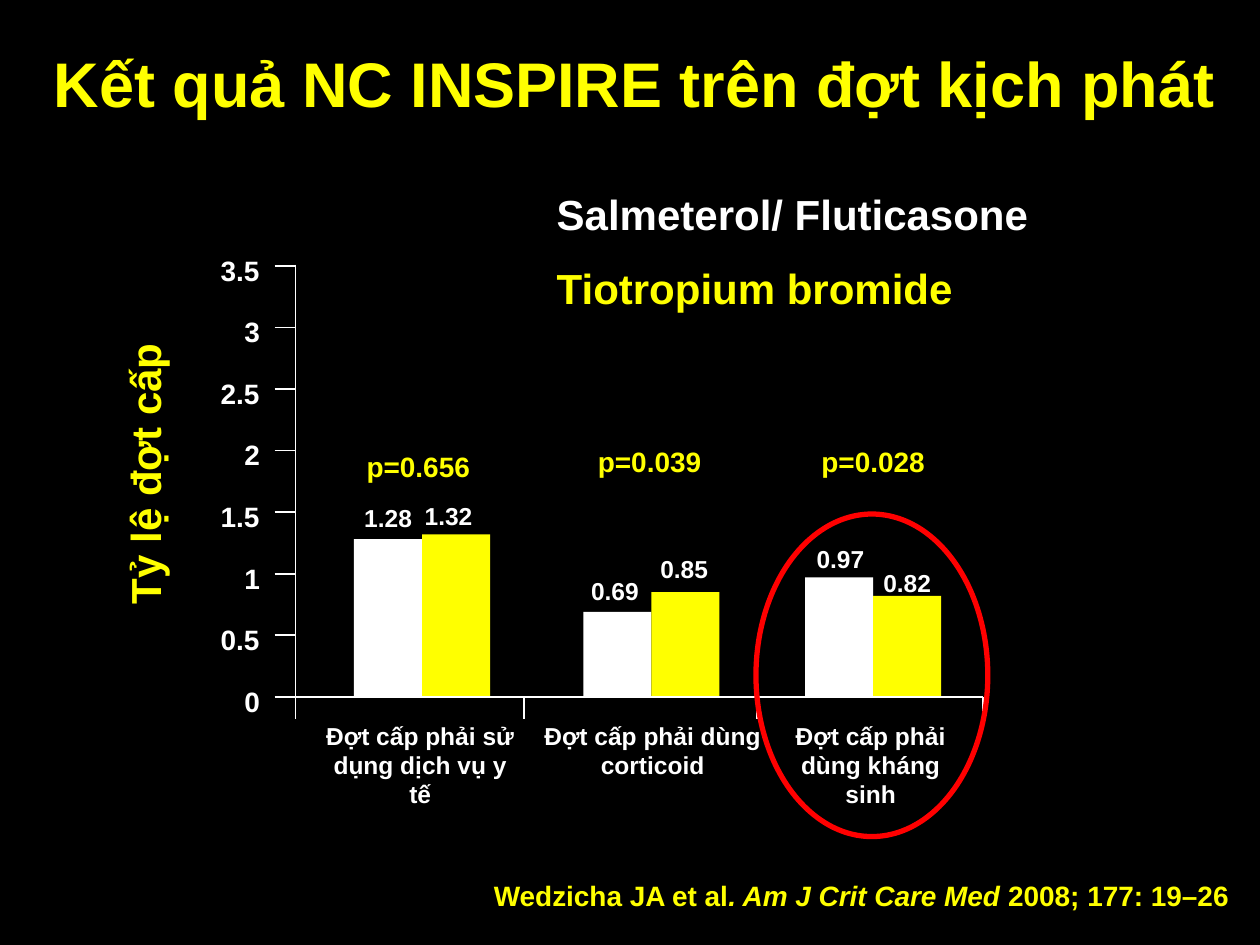
from lxml import etree
from pptx import Presentation
from pptx import util as u
from pptx.dml.color import RGBColor
from pptx.enum import shapes, text
from pptx.oxml.ns import qn

BLACK = RGBColor(0x00, 0x00, 0x00)
WHITE = RGBColor(0xFF, 0xFF, 0xFF)
YELLOW = RGBColor(0xFF, 0xFF, 0x00)
RED = RGBColor(0xFF, 0x00, 0x00)

prs = Presentation()
prs.slide_width, prs.slide_height = u.Inches(10), u.Inches(7.5)
s = prs.slides.add_slide(prs.slide_layouts[6])
s.background.fill.solid()
s.background.fill.fore_color.rgb = BLACK

# Grid of 100 columns by 75 rows; all positions below are in grid cells
COL, ROW = prs.slide_width / 100, prs.slide_height / 75


def cells(x, y, w, h):
    return int(x * COL), int(y * ROW), int(w * COL), int(h * ROW)


def add_text(paras, x, y, w, h, size=14, color=WHITE, align=text.PP_ALIGN.CENTER,
             wrap=True, inset=True, before=0, rotation=0):
    """Each paragraph is a list of (text, color or None, italic) runs, or a string."""
    sp = s.shapes.add_textbox(*cells(x, y, w, h))
    sp.rotation = rotation
    tf = sp.text_frame
    tf.word_wrap = wrap
    if not inset:
        tf.margin_left = tf.margin_right = tf.margin_top = tf.margin_bottom = 0
    for i, runs in enumerate([paras] if isinstance(paras, str) else paras):
        p = tf.paragraphs[0] if i == 0 else tf.add_paragraph()
        p.alignment = align
        if i:
            p.space_before = u.Pt(before)
        for words, run_color, italic in [(runs, None, False)] if isinstance(runs, str) else runs:
            r = p.add_run()
            r.text = words
            r.font.name, r.font.size, r.font.bold = "Arial", u.Pt(size), True
            r.font.italic = italic
            r.font.color.rgb = run_color or color


# Title and source
add_text("Kết quả NC INSPIRE trên đợt kịch phát", 3.3, 3, 95.2, 14.5,
         size=36, color=YELLOW, align=text.PP_ALIGN.LEFT)
add_text([[("Wedzicha JA et al", None, False),
           (". Am J Crit Care Med", None, True),
           (" 2008; 177: 19–26", None, False)]],
         35.8, 69.2, 62.7, 4, size=16, color=YELLOW, align=text.PP_ALIGN.RIGHT)

# Plot: origin, height of one unit on the value axis, category edges
LEFT, BASE, UNIT = 23.45, 55.3, 9.77
EDGES = [LEFT, 41.6, 60.1, 78]
BAR_W = 5.4

# Bars with value labels: left, top of label per treatment
groups = [
    (28.1, (1.28, 27.9, 39.4), (1.32, 32.7, 39.3)),
    (46.3, (0.69, 45.9, 45.2), (0.85, 51.4, 43.5)),
    (63.9, (0.97, 63.8, 42.7), (0.82, 69.1, 44.6)),
]
for left, *bars in groups:
    for i, (value, label_x, label_y) in enumerate(bars):
        height = value * UNIT
        sp = s.shapes.add_shape(shapes.MSO_SHAPE.RECTANGLE,
                                *cells(left + i * BAR_W, BASE - height, BAR_W, height))
        sp.shadow.inherit = False
        sp.fill.solid()
        sp.fill.fore_color.rgb = (WHITE, YELLOW)[i]
        sp.line.fill.background()
        add_text(f"{value:.2f}", label_x, label_y, 5.8, 3.3, wrap=False)

# Axes and ticks
lines = [(LEFT, 21, LEFT, BASE), (LEFT, BASE, EDGES[-1], BASE)]
lines += [(21.8, BASE - i * UNIT / 2, LEFT, BASE - i * UNIT / 2) for i in range(8)]
lines += [(x, BASE, x, 57.1) for x in EDGES]
for x1, y1, x2, y2 in lines:
    c = s.shapes.add_connector(shapes.MSO_CONNECTOR.STRAIGHT,
                               int(x1 * COL), int(y1 * ROW), int(x2 * COL), int(y2 * ROW))
    c.line.color.rgb = WHITE
    c.line.width = u.Pt(1)
    etree.SubElement(c._element.spPr, qn("a:effectLst"))

# Value axis labels and title
for i in range(8):
    width = 3.1 if i % 2 else 1.2
    add_text(f"{i / 2:g}", 20.6 - width, 54.3 - i * UNIT / 2, width, 2.7, size=16,
             align=text.PP_ALIGN.RIGHT, wrap=False, inset=False)
add_text("Tỷ lệ đợt cấp", -3.3, 35.1, 29.6, 5, size=24, color=YELLOW, rotation=270)

# Category labels
for words, x, width in [("Đợt cấp phải sử dụng dịch vụ y tế", 24.6, 17.5),
                        ("Đợt cấp phải dùng corticoid", 42.2, 19.2),
                        ("Đợt cấp phải dùng kháng sinh", 60.4, 17.4)]:
    add_text(words, x, 56.7, width, 5.7)

# p-values
for words, x, y, width in [("p=0.656", 28, 35.2, 10.4),
                           ("p=0.039", 46.1, 34.8, 10.9),
                           ("p=0.028", 63.6, 34.8, 11.4)]:
    add_text(words, x, y, width, 3.7, size=16, color=YELLOW)

# Legend
add_text([[("Salmeterol/ Fluticasone", WHITE, False)],
          [("Tiotropium bromide", YELLOW, False)]],
         43.2, 14.5, 45.1, 11.1, size=24, align=text.PP_ALIGN.LEFT, before=13)

# Ring around the antibiotic group
sp = s.shapes.add_shape(shapes.MSO_SHAPE.OVAL, *cells(60, 40.8, 18.4, 25.6))
sp.shadow.inherit = False
sp.fill.background()
sp.line.color.rgb = RED
sp.line.width = u.Pt(3)

prs.save("out.pptx")
